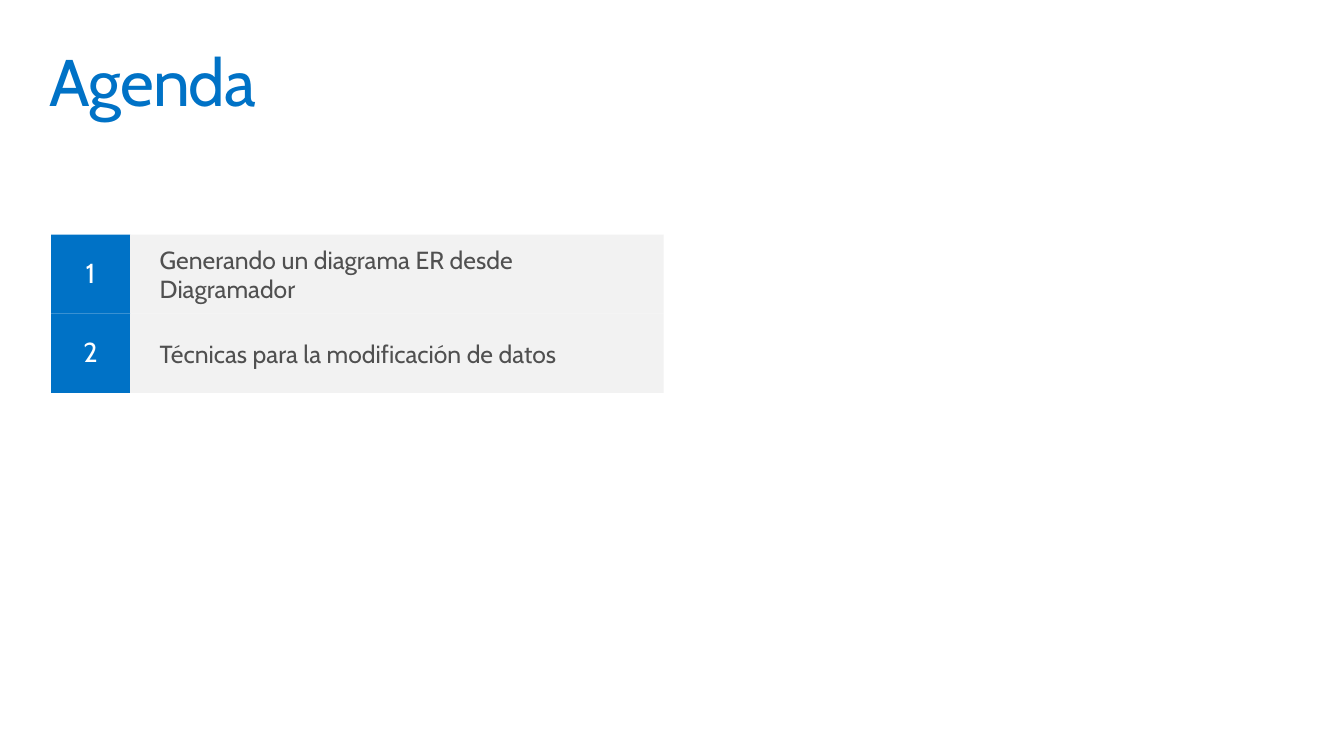
from dataclasses import dataclass

from pptx import Presentation
from pptx.dml.color import RGBColor
from pptx.enum.shapes import MSO_SHAPE
from pptx.enum.text import MSO_ANCHOR, MSO_AUTO_SIZE, PP_ALIGN
from pptx.util import Pt


@dataclass(frozen=True)
class Theme:
    font: str = "Cabin"
    blue: RGBColor = RGBColor(0x00, 0x72, 0xC6)
    panel: RGBColor = RGBColor(0xF2, 0xF2, 0xF2)
    gray: RGBColor = RGBColor(0x50, 0x50, 0x50)
    white: RGBColor = RGBColor(0xFF, 0xFF, 0xFF)
    title_size: int = 48
    number_size: int = 20
    topic_size: int = 18


def write_text(shape, text, size, color, align, anchor, inset_x, inset_y, line_spacing):
    frame = shape.text_frame
    frame.word_wrap = True
    frame.auto_size = MSO_AUTO_SIZE.NONE
    frame.vertical_anchor = anchor
    frame.margin_left = frame.margin_right = Pt(inset_x)
    frame.margin_top = frame.margin_bottom = Pt(inset_y)
    para = frame.paragraphs[0]
    para.alignment = align
    para.line_spacing = line_spacing
    para.space_before = Pt(0)
    run = para.add_run()
    run.text = text
    run.font.name = theme.font
    run.font.size = Pt(size)
    run.font.color.rgb = color
    return run


def add_block(page, left, top, width, height, fill):
    block = page.shapes.add_shape(
        MSO_SHAPE.RECTANGLE, Pt(left), Pt(top), Pt(width), Pt(height))
    block.shadow.inherit = False
    block.fill.solid()
    block.fill.fore_color.rgb = fill
    block.line.fill.background()
    return block


theme = Theme()
deck = Presentation()
deck.slide_width, deck.slide_height = Pt(979.2), Pt(550.8)
page = deck.slides.add_slide(deck.slide_layouts[5])

title = page.shapes.title
title.left, title.top, title.width, title.height = Pt(28.8), Pt(28.8), Pt(921.6), Pt(72)
title_run = write_text(title, "Agenda", theme.title_size, theme.blue,
                       PP_ALIGN.LEFT, MSO_ANCHOR.TOP, 7.2, 7.2, 0.9)
# Letter spacing in hundredths of a point
title_run.font._element.set("spc", "-70")

topics = [
    "Generando un diagrama ER desde Diagramador",
    "Técnicas para la modificación de datos",
]
agenda_left, agenda_top = 37.2, 171
row_height = number_width = 57.6
topic_width = 388.8

for index, topic in enumerate(topics):
    top = agenda_top + index * row_height
    number_box = add_block(page, agenda_left, top, number_width, row_height, theme.blue)
    write_text(number_box, str(index + 1), theme.number_size, theme.white,
               PP_ALIGN.CENTER, MSO_ANCHOR.MIDDLE, 14.4, 11.52, 0.9)
    topic_box = add_block(page, agenda_left + number_width, top,
                          topic_width, row_height, theme.panel)
    write_text(topic_box, topic, theme.topic_size, theme.gray,
               PP_ALIGN.LEFT, MSO_ANCHOR.MIDDLE, 21.6, 7.2, 1.0)

deck.save("out.pptx")
